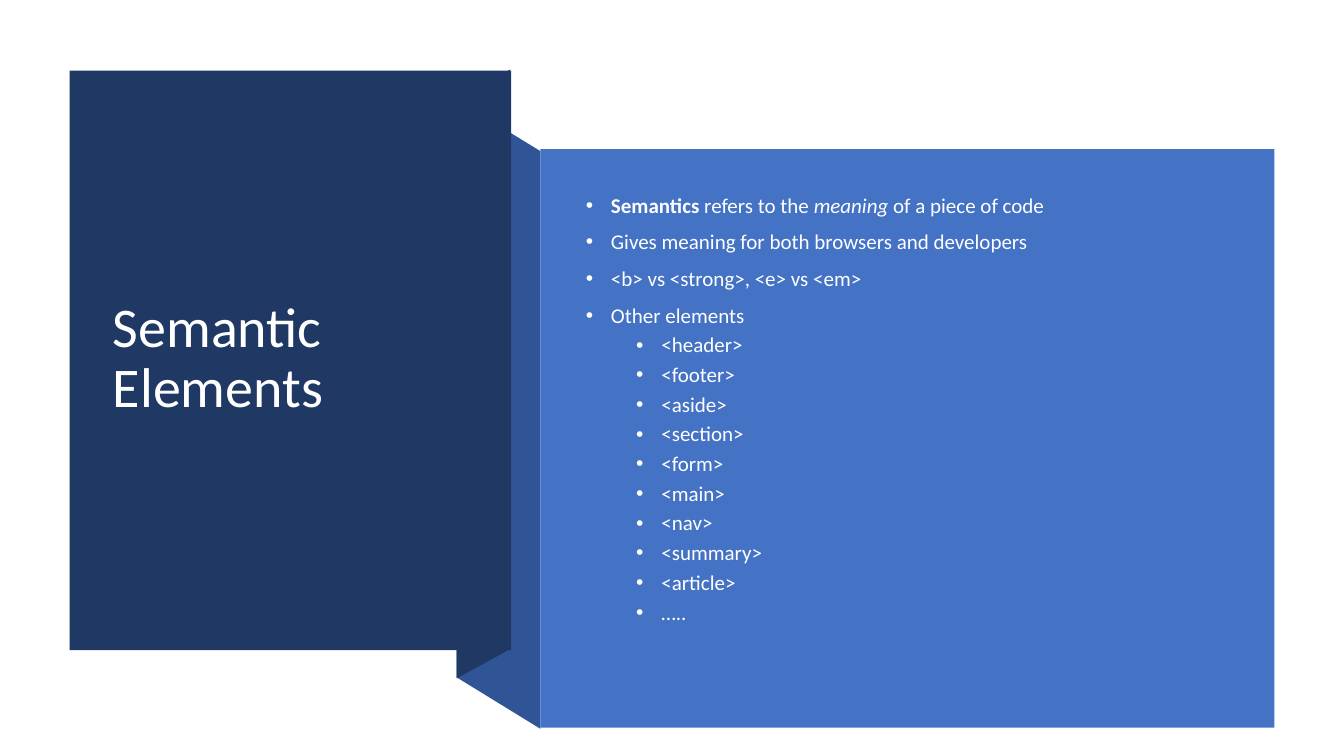
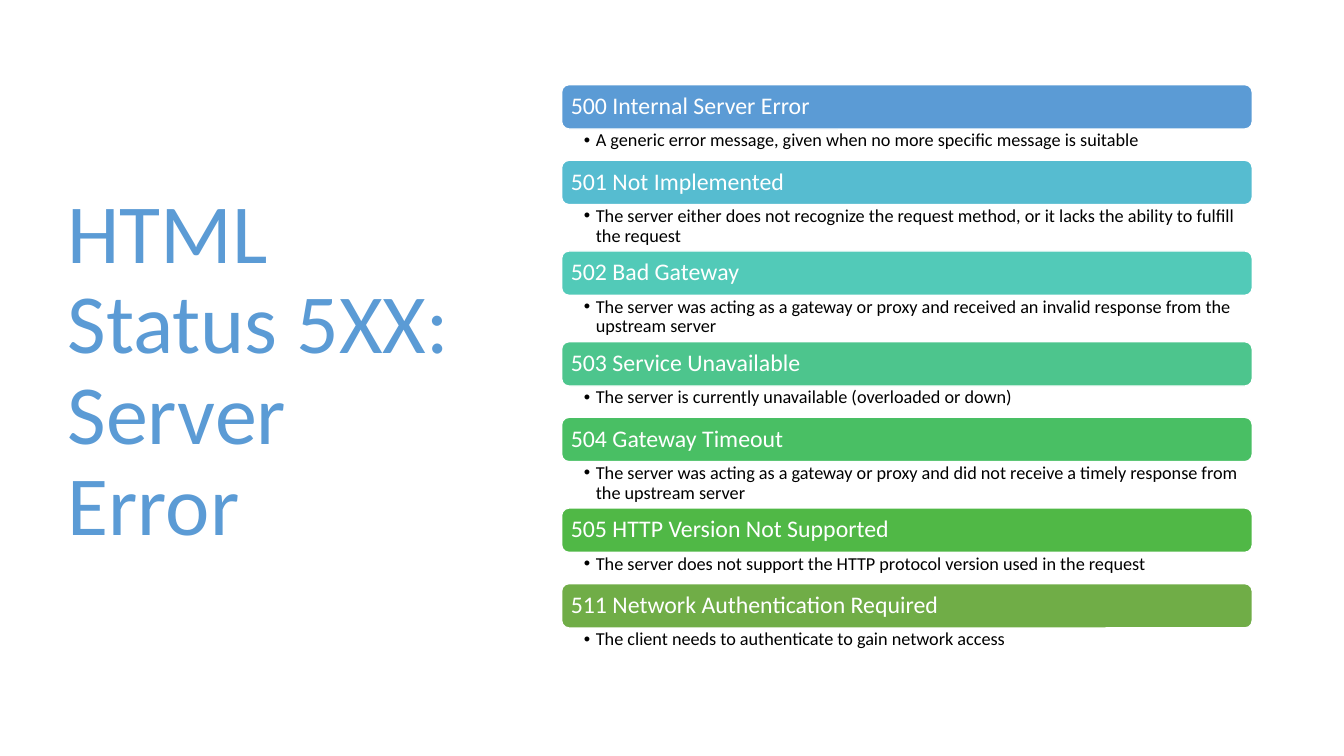
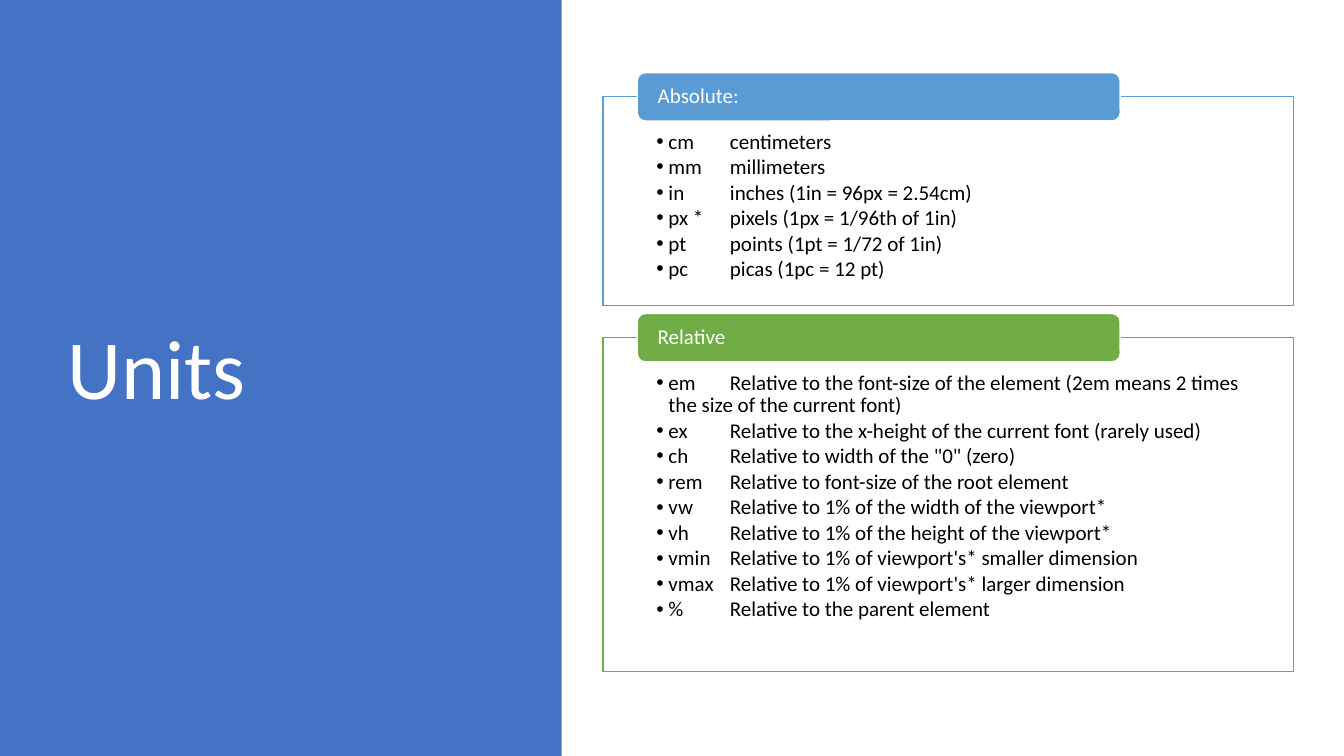
from lxml import etree
from pptx import Presentation
from pptx import util as u
from pptx.dml import color
from pptx.enum import shapes, text
from pptx.oxml import ns

COLORS = {
    "white": "FFFFFF", "black": "000000", "navy": "203864", "fold": "2F5597",
    "blue": "4472C4", "sky": "5B9BD5", "cyan": "56BCD0", "teal": "52CAB8",
    "mint": "4DC58D", "emerald": "49BF64", "leaf": "50B846", "green": "70AD47",
}
FONT = "Calibri"
RECT = shapes.MSO_SHAPE.RECTANGLE
ROUND = shapes.MSO_SHAPE.ROUNDED_RECTANGLE
MIDDLE = text.MSO_ANCHOR.MIDDLE
TOP = text.MSO_ANCHOR.TOP
SIDE_TITLE = (0.57, 0.68, 4.16, 6.02)

CONCEPTS = [
    [("Semantics", "b"), (" refers to the ", ""), ("meaning", "i"),
     (" of a piece of code", "")],
    [("Gives meaning for both browsers and developers", "")],
    [("<b> vs <strong>, <e> vs <em>", "")],
    [("Other elements", "")],
]
ELEMENTS = ["<header>", "<footer>", "<aside>", "<section>", "<form>",
            "<main>", "<nav>", "<summary>", "<article>", "….."]

STATUSES = [
    ("500 Internal Server Error", "sky", 1,
     "A generic error message, given when no more specific message is suitable"),
    ("501 Not Implemented", "cyan", 2,
     "The server either does not recognize the request method, "
     "or it lacks the ability to fulfill the request"),
    ("502 Bad Gateway", "teal", 2,
     "The server was acting as a gateway or proxy and received "
     "an invalid response from the upstream server"),
    ("503 Service Unavailable", "mint", 1,
     "The server is currently unavailable (overloaded or down)"),
    ("504 Gateway Timeout", "emerald", 2,
     "The server was acting as a gateway or proxy and did not receive "
     "a timely response from the upstream server"),
    ("505 HTTP Version Not Supported", "leaf", 1,
     "The server does not support the HTTP protocol version used in the request"),
    ("511 Network Authentication Required", "green", 1,
     "The client needs to authenticate to gain network access"),
]

ABSOLUTE = [
    ("cm", "centimeters"),
    ("mm", "millimeters"),
    ("in", "inches (1in = 96px = 2.54cm)"),
    ("px *", "pixels (1px = 1/96th of 1in)"),
    ("pt", "points (1pt = 1/72 of 1in)"),
    ("pc", "picas (1pc = 12 pt)"),
]
RELATIVE = [
    ("em", "Relative to the font-size of the element "
           "(2em means 2 times the size of the current font)"),
    ("ex", "Relative to the x-height of the current font (rarely used)"),
    ("ch", "Relative to width of the \"0\" (zero)"),
    ("rem", "Relative to font-size of the root element"),
    ("vw", "Relative to 1% of the width of the viewport*"),
    ("vh", "Relative to 1% of the height of the viewport*"),
    ("vmin", "Relative to 1% of viewport's* smaller dimension"),
    ("vmax", "Relative to 1% of viewport's* larger dimension"),
    ("%", "Relative to the parent element"),
]


def rgb(name):
    return color.RGBColor.from_string(COLORS[name])


def inches(values):
    return [u.Inches(v) for v in values]


def paint(sp, fill, line=None):
    sp.shadow.inherit = False
    sp.fill.solid()
    sp.fill.fore_color.rgb = rgb(fill)
    if line:
        sp.line.color.rgb = rgb(line)
        sp.line.width = u.Pt(1)
    else:
        sp.line.fill.background()


def add_box(slide, kind, at, fill, line=None):
    sp = slide.shapes.add_shape(kind, *inches(at))
    paint(sp, fill, line)
    return sp


def add_polygon(slide, points, fill):
    corners = [tuple(inches(pt)) for pt in points]
    builder = slide.shapes.build_freeform(*corners[0], scale=1.0)
    builder.add_line_segments(corners[1:], close=True)
    paint(builder.convert_to_shape(), fill)


def set_frame(sp, anchor, insets=(0.1, 0.05, 0.1, 0.05)):
    tf = sp.text_frame
    tf.word_wrap = True
    tf.auto_size = text.MSO_AUTO_SIZE.NONE
    tf.vertical_anchor = anchor
    tf.margin_left, tf.margin_top, tf.margin_right, tf.margin_bottom = inches(insets)
    return tf


def add_paragraph(tf, runs, size, ink, before=0, after=0):
    first = tf.paragraphs[0]
    p = tf.add_paragraph() if first.runs else first
    p.alignment = text.PP_ALIGN.LEFT
    p.line_spacing = 0.9
    p.space_before = u.Pt(before)
    p.space_after = u.Pt(after)
    for words, style in runs:
        r = p.add_run()
        r.text = words
        r.font.name = FONT
        r.font.size = u.Pt(size)
        r.font.color.rgb = rgb(ink)
        r.font.bold = style == "b"
        r.font.italic = style == "i"
    return p


def set_bullet(p, left, hang, tab=1):
    pPr = p._p.get_or_add_pPr()
    pPr.set("marL", str(u.Inches(left)))
    pPr.set("indent", str(-u.Inches(hang)))
    pPr.set("defTabSz", str(u.Inches(tab)))
    etree.SubElement(pPr, ns.qn("a:buFont")).set("typeface", "Arial")
    etree.SubElement(pPr, ns.qn("a:buChar")).set("char", "•")


def place(sp, at):
    sp.left, sp.top, sp.width, sp.height = inches(at)
    sp.element.getparent().append(sp.element)
    return set_frame(sp, MIDDLE)


def set_title(slide, words, at, size, ink):
    add_paragraph(place(slide.shapes.title, at), [(words, "")], size, ink)


def add_label(slide, at, words, fill, size, inset):
    sp = add_box(slide, ROUND, at, fill, "white")
    tf = set_frame(sp, MIDDLE, (inset, 0, inset, 0))
    add_paragraph(tf, [(words, "")], size, "white")


def add_status(slide, top, bar, depth, heading, fill, detail):
    left, width = 5.57, 6.85
    add_label(slide, (left, top, width, bar), heading, fill, 17, 0.07)
    sp = slide.shapes.add_textbox(*inches((left, top + bar, width, depth)))
    tf = set_frame(sp, TOP, (0.22, 0.02, 0.13, 0.02))
    set_bullet(add_paragraph(tf, [(detail, "")], 13, "black"), 0.12, 0.12)


def add_panel(slide, top, height, heading, accent, units):
    left, label_height = 5.98, 0.48
    sp = add_box(slide, RECT, (left, top, 6.85, height), "white", accent)
    tf = set_frame(sp, TOP, (0.53, 0.34, 0.53, 0.12))
    for unit, meaning in units:
        p = add_paragraph(tf, [(f"{unit}\t{meaning}", "")], 15, "black", after=2)
        set_bullet(p, 0.12, 0.12, 0.73)
    label = (left + 0.34, top - label_height / 2, 4.79, label_height)
    add_label(slide, label, heading, accent, 15, 0.18)


def build_semantics(prs):
    slide = prs.slides.add_slide(prs.slide_layouts[1])
    add_polygon(slide, [(5.36, 7.23), (4.53, 6.72), (4.53, 0.99), (5.36, 1.5)], "fold")
    add_polygon(slide, [(5.06, 6.44), (4.53, 6.73), (4.53, 0.98), (5.06, 0.69)], "navy")
    add_box(slide, RECT, (0.69, 0.7, 4.38, 5.75), "navy")
    add_box(slide, RECT, (5.36, 1.48, 7.28, 5.74), "blue")
    set_title(slide, "Semantic Elements", (1.02, 1.07, 3.71, 4.99), 40, "white")
    tf = place(slide.placeholders[1], (5.71, 1.79, 6.51, 4.55))
    for runs in CONCEPTS:
        set_bullet(add_paragraph(tf, runs, 15, "white", before=10), 0.25, 0.25)
    for tag in ELEMENTS:
        p = add_paragraph(tf, [(tag, "")], 15, "white", before=5)
        p.level = 1
        set_bullet(p, 0.75, 0.25)


def build_statuses(prs):
    slide = prs.slides.add_slide(prs.slide_layouts[5])
    set_title(slide, "HTML Status 5XX: Server Error", SIDE_TITLE, 60, "sky")
    top, bar = 0.84, 0.44
    for heading, fill, lines, detail in STATUSES:
        depth = 0.16 + 0.15 * lines
        add_status(slide, top, bar, depth, heading, fill, detail)
        top += bar + depth


def build_units(prs):
    slide = prs.slides.add_slide(prs.slide_layouts[5])
    add_box(slide, RECT, (0, 0, 5.57, 7.5), "blue")
    set_title(slide, "Units", SIDE_TITLE, 60, "white")
    add_panel(slide, 0.96, 2.07, "Absolute:", "sky", ABSOLUTE)
    add_panel(slide, 3.35, 3.31, "Relative", "green", RELATIVE)


def main():
    prs = Presentation()
    prs.slide_width, prs.slide_height = inches((13.33, 7.5))
    build_semantics(prs)
    build_statuses(prs)
    build_units(prs)
    prs.save("out.pptx")


if __name__ == "__main__":
    main()
